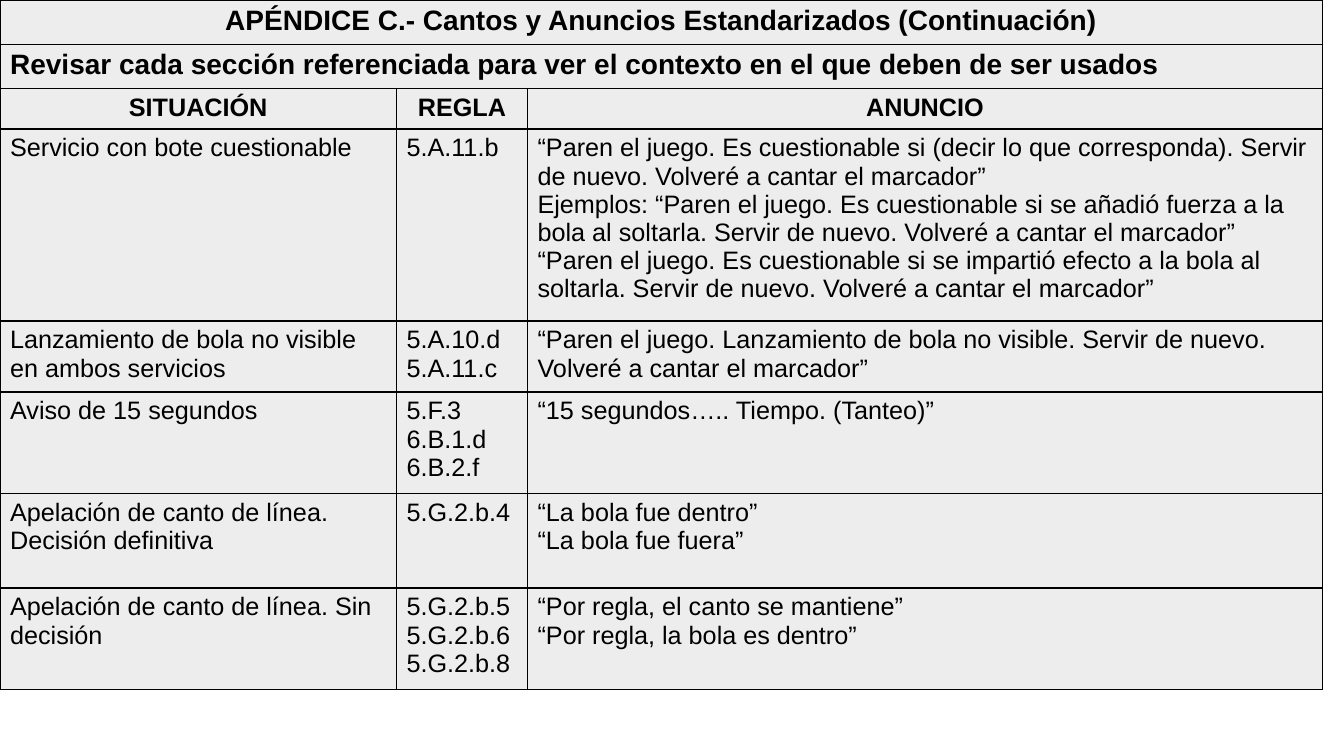
import lxml.etree
import pptx
import pptx.dml.color
import pptx.enum.text
import pptx.oxml.ns
import pptx.util

COLUMN_PERCENTS = [29.5, 9.75, 59.15]
ROW_PERCENTS = [5.87, 5.87, 5.33, 25.4, 9.4, 13.4, 12.53, 13.4]

TITLE = "APÉNDICE C.- Cantos y Anuncios Estandarizados (Continuación)"
INSTRUCTION = "Revisar cada sección referenciada para ver el contexto en el que deben de ser usados"
HEADINGS = ["SITUACIÓN", "REGLA", "ANUNCIO"]
ANNOUNCEMENTS = [
    ["Servicio con bote cuestionable", "5.A.11.b",
     "“Paren el juego. Es cuestionable si (decir lo que corresponda). "
     "Servir de nuevo. Volveré a cantar el marcador”\n"
     "Ejemplos: “Paren el juego. Es cuestionable si se añadió fuerza a la bola al soltarla. "
     "Servir de nuevo. Volveré a cantar el marcador”\n"
     "“Paren el juego. Es cuestionable si se impartió efecto a la bola al soltarla. "
     "Servir de nuevo. Volveré a cantar el marcador”"],
    ["Lanzamiento de bola no visible en ambos servicios", "5.A.10.d\n5.A.11.c",
     "“Paren el juego. Lanzamiento de bola no visible. "
     "Servir de nuevo. Volveré a cantar el marcador”"],
    ["Aviso de 15 segundos", "5.F.3\n6.B.1.d\n6.B.2.f",
     "“15 segundos….. Tiempo. (Tanteo)”"],
    ["Apelación de canto de línea. Decisión definitiva", "5.G.2.b.4",
     "“La bola fue dentro”\n“La bola fue fuera”"],
    ["Apelación de canto de línea. Sin decisión", "5.G.2.b.5\n5.G.2.b.6\n5.G.2.b.8",
     "“Por regla, el canto se mantiene”\n“Por regla, la bola es dentro”"],
]


class SlideBuilder:
    colors = {"text": "000000", "border": "000000", "fill": "EDEDED"}
    font_name = "Arial"

    def __init__(self, presentation):
        self.width = presentation.slide_width
        self.height = presentation.slide_height
        self.slide = presentation.slides.add_slide(presentation.slide_layouts[6])

    def color(self, name):
        return pptx.dml.color.RGBColor.from_string(self.colors[name])

    def table(self, column_percents, row_percents):
        widths = [int(self.width * percent / 100) for percent in column_percents]
        heights = [int(self.height * percent / 100) for percent in row_percents]
        table = self.slide.shapes.add_table(
            len(heights), len(widths), 0, 0, sum(widths), sum(heights)).table
        table.first_row = False
        table.horz_banding = False
        for column, width in zip(table.columns, widths):
            column.width = width
        for row, height in zip(table.rows, heights):
            row.height = height
            for cell in row.cells:
                self.borders(cell)
                cell.fill.solid()
                cell.fill.fore_color.rgb = self.color("fill")
        return table

    def borders(self, cell):
        properties = cell._tc.get_or_add_tcPr()
        for side in ("a:lnL", "a:lnR", "a:lnT", "a:lnB"):
            line = lxml.etree.SubElement(
                properties, pptx.oxml.ns.qn(side), w=str(pptx.util.Pt(1)))
            fill = lxml.etree.SubElement(line, pptx.oxml.ns.qn("a:solidFill"))
            lxml.etree.SubElement(
                fill, pptx.oxml.ns.qn("a:srgbClr"), val=self.colors["border"])

    def cell_text(self, cell, text, size=18, bold=False, centered=False):
        cell.text = text
        for paragraph in cell.text_frame.paragraphs:
            alignment = pptx.enum.text.PP_ALIGN
            paragraph.alignment = alignment.CENTER if centered else alignment.LEFT
            paragraph.font.name = self.font_name
            paragraph.font.size = pptx.util.Pt(size)
            paragraph.font.bold = bold
            paragraph.font.color.rgb = self.color("text")

    def banner(self, table, row, text, centered=False):
        cell = table.cell(row, 0)
        cell.merge(table.cell(row, len(table.columns) - 1))
        self.cell_text(cell, text, size=20, bold=True, centered=centered)


def main():
    presentation = pptx.Presentation()
    presentation.slide_width = pptx.util.Inches(13.33)
    presentation.slide_height = pptx.util.Inches(7.5)
    builder = SlideBuilder(presentation)
    table = builder.table(COLUMN_PERCENTS, ROW_PERCENTS)
    builder.banner(table, 0, TITLE, centered=True)
    builder.banner(table, 1, INSTRUCTION)
    for column, heading in enumerate(HEADINGS):
        builder.cell_text(table.cell(2, column), heading, bold=True, centered=True)
    for row, texts in enumerate(ANNOUNCEMENTS, start=3):
        for column, text in enumerate(texts):
            builder.cell_text(table.cell(row, column), text)
    presentation.save("out.pptx")


if __name__ == "__main__":
    main()
